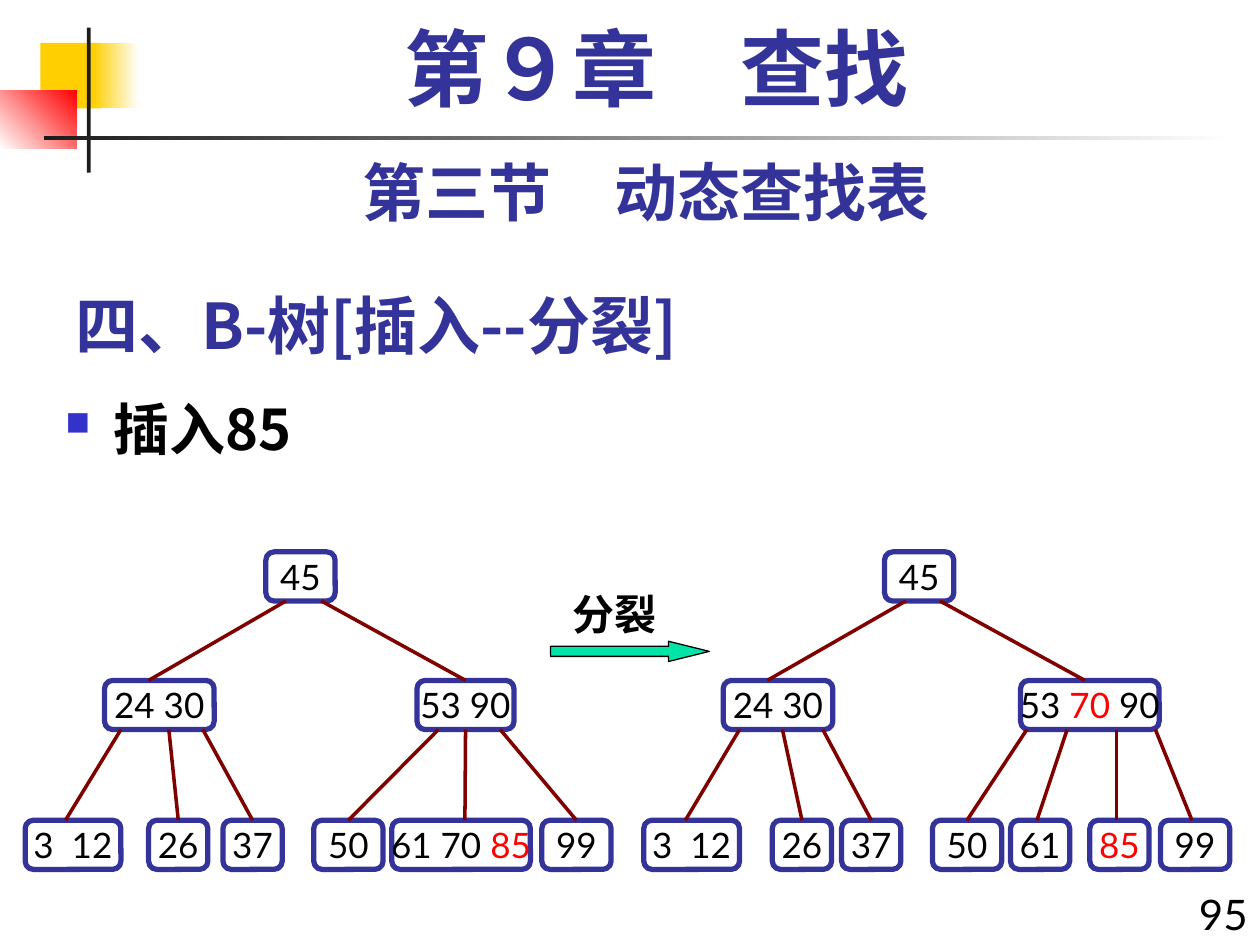
from dataclasses import dataclass
from lxml.etree import SubElement
from pptx import Presentation
from pptx.dml.color import RGBColor as RGB
from pptx.enum.shapes import MSO_CONNECTOR as Link, MSO_SHAPE as Shape
from pptx.enum.text import MSO_ANCHOR as Anchor, PP_ALIGN as Align
from pptx.oxml.ns import qn
from pptx.util import Inches, Pt


@dataclass(frozen=True)
class Theme:
    navy: str = "333399"
    black: str = "000000"
    white: str = "FFFFFF"
    red: str = "FF0000"
    gold: str = "FFCF01"
    ink: str = "1C1C1C"
    maroon: str = "800000"
    mint: str = "00E4A8"
    bullet: str = "3333CC"
    cjk: str = "Noto Sans CJK SC"
    sans: str = "Lato"
    serif: str = "Times New Roman"
    chapter: int = 48
    heading: int = 36
    body: int = 32
    label: int = 24
    key: int = 20


T = Theme()

DECORATION = [
    ((0.32, 0.34, 0.48, 0.52), [T.gold], 0),
    ((0.74, 0.34, 0.36, 0.52), [T.gold, T.white], 0),
    ((0, 0.72, 0.61, 0.46), [T.white, T.red], 45),
    ((0.69, 0.22, 0.03, 1.15), [T.ink], 0),
    ((0.35, 1.08, 9.45, 0.03), [T.ink, T.white], 0),
]

BOLD_NAVY = {"color": T.navy, "bold": True}
TEXTS = [
    ("四、B-树[插入--分裂]", (0.5, 2.17, 6.83, 0.75),
     {**BOLD_NAVY, "name": T.cjk, "size": T.heading},
     {"vertical_anchor": Anchor.BOTTOM}, {}),
    ("95", (9.33, 7, 0.67, 0.5),
     {"name": T.sans, "size": T.label, "color": T.black},
     {}, {"alignment": Align.RIGHT}),
    ("第三节\u3000动态查找表".replace("\u3000", "　"), (0.5, 1.17, 9.25, 0.7),
     {**BOLD_NAVY, "name": T.sans, "size": T.heading},
     {}, {"alignment": Align.CENTER}),
    ("第９章　查找", (0.67, 0.17, 9.08, 0.83),
     {**BOLD_NAVY, "name": T.serif, "size": T.chapter},
     {}, {"alignment": Align.CENTER, "line_spacing": 0.9}),
    ("分裂", (4.37, 4.62, 1.02, 0.5),
     {"name": T.sans, "size": T.label, "color": T.black, "bold": True},
     {}, {"alignment": Align.CENTER}),
]
INSERTION = ("插入85", (0.42, 3.08, 9.58, 4.42),
             {"name": T.cjk, "size": T.body, "color": T.black, "bold": True},
             {}, {})

LEVEL_TOPS = (4.38, 5.4, 6.51)
NODE_HEIGHT = 0.39
BEFORE_SPLIT = {
    "levels": [
        [("45", 2.11, 0.55)],
        [("24 30", 0.83, 0.87), ("53 90", 3.31, 0.77)],
        [("3  12", 0.2, 0.76), ("26", 1.18, 0.47), ("37", 1.77, 0.47),
         ("50", 2.49, 0.55), ("61 70 *85*", 3.11, 1.1), ("99", 4.3, 0.55)],
    ],
    "branches": [
        ("45", 2.27, "24 30", 1.18), ("45", 2.55, "53 90", 3.69),
        ("24 30", 0.96, "3  12", 0.52), ("24 30", 1.34, "26", 1.42),
        ("24 30", 1.61, "37", 2.01), ("53 90", 3.48, "50", 2.76),
        ("53 90", 3.69, "61 70 *85*", 3.69), ("53 90", 3.97, "99", 4.57),
    ],
}
AFTER_SPLIT = {
    "levels": [
        [("45", 7.02, 0.55)],
        [("24 30", 5.74, 0.87), ("53 *70* 90", 8.1, 1.1)],
        [("3  12", 5.11, 0.76), ("26", 6.13, 0.47), ("37", 6.68, 0.47),
         ("50", 7.4, 0.55), ("61", 8.02, 0.47), ("*85*", 8.65, 0.47),
         ("99", 9.21, 0.55)],
    ],
    "branches": [
        ("45", 7.19, "24 30", 6.09), ("45", 7.46, "53 *70* 90", 8.61),
        ("24 30", 5.87, "3  12", 5.44), ("24 30", 6.21, "26", 6.37),
        ("24 30", 6.53, "37", 6.92), ("53 *70* 90", 8.15, "50", 7.68),
        ("53 *70* 90", 8.47, "61", 8.23), ("53 *70* 90", 8.86, "*85*", 8.86),
        ("53 *70* 90", 9.17, "99", 9.46),
    ],
}


def apply(target, values):
    for attribute, value in values.items():
        setattr(target, attribute, value)


def add_run(paragraph, text, style):
    run = paragraph.add_run()
    run.text = text
    values = dict(style)
    run.font.color.rgb = RGB.from_string(values.pop("color"))
    apply(run.font, {**values, "size": Pt(values["size"])})
    SubElement(run.font._element, qn("a:ea"), typeface=T.cjk)


def add_text(slide, text, place, style, frame_values, paragraph_values):
    frame = slide.shapes.add_textbox(*map(Inches, place)).text_frame
    apply(frame, {"word_wrap": True, **frame_values})
    paragraph = frame.paragraphs[0]
    apply(paragraph, paragraph_values)
    add_run(paragraph, text, style)
    return paragraph


def add_bullet(paragraph):
    properties = paragraph._p.get_or_add_pPr()
    properties.set("marL", str(Inches(0.38)))
    properties.set("indent", str(-Inches(0.38)))
    color = SubElement(properties, qn("a:buClr"))
    SubElement(color, qn("a:srgbClr"), val=T.bullet)
    SubElement(properties, qn("a:buSzPct"), val="60000")
    SubElement(properties, qn("a:buChar"), char="■")


def add_shape(shapes, preset, place, line=None, width=0):
    shape = shapes.add_shape(preset, *map(Inches, place))
    shape.shadow.inherit = False
    if line:
        shape.line.color.rgb = RGB.from_string(line)
        shape.line.width = Pt(width)
    else:
        shape.line.fill.background()
    return shape


def paint(shape, colors, angle=0):
    if len(colors) == 1:
        shape.fill.solid()
        shape.fill.fore_color.rgb = RGB.from_string(colors[0])
        return
    shape.fill.gradient()
    shape.fill.gradient_angle = angle
    for stop, color, position in zip(shape.fill.gradient_stops, colors, (0, 1)):
        stop.color.rgb = RGB.from_string(color)
        stop.position = position


def add_node(shapes, keys, left, top, width):
    node = add_shape(shapes, Shape.ROUNDED_RECTANGLE,
                     (left, top, width, NODE_HEIGHT), T.navy, 3)
    node.fill.background()
    apply(node.text_frame, {"word_wrap": False, "vertical_anchor": Anchor.MIDDLE})
    paragraph = node.text_frame.paragraphs[0]
    paragraph.alignment = Align.CENTER
    for index, part in enumerate(keys.split("*")):
        if part:
            add_run(paragraph, part, {"name": T.sans, "size": T.key,
                                      "color": T.red if index % 2 else T.black})
    return node


def is_middle(node, x):
    return abs(node.left + node.width / 2 - Inches(x)) < Inches(0.02)


def add_tree(slide, tree):
    shapes = slide.shapes.add_group_shape().shapes
    nodes = {keys: add_node(shapes, keys, left, top, width)
             for top, level in zip(LEVEL_TOPS, tree["levels"])
             for keys, left, width in level}
    for parent_keys, start, child_keys, end in tree["branches"]:
        parent, child = nodes[parent_keys], nodes[child_keys]
        branch = shapes.add_connector(
            Link.STRAIGHT, Inches(start), parent.top + parent.height,
            Inches(end), child.top)
        branch.line.color.rgb = RGB.from_string(T.maroon)
        branch.line.width = Pt(2)
        SubElement(branch._element.spPr, qn("a:effectLst"))
        if is_middle(parent, start):
            branch.begin_connect(parent, 2)
        if is_middle(child, end):
            branch.end_connect(child, 0)


def main():
    deck = Presentation()
    apply(deck, {"slide_width": Inches(10), "slide_height": Inches(7.5)})
    slide = deck.slides.add_slide(deck.slide_layouts[6])
    for place, colors, angle in DECORATION:
        paint(add_shape(slide.shapes, Shape.RECTANGLE, place), colors, angle)
    for entry in TEXTS:
        add_text(slide, *entry)
    add_bullet(add_text(slide, *INSERTION))
    for tree in (BEFORE_SPLIT, AFTER_SPLIT):
        add_tree(slide, tree)
    split_arrow = add_shape(slide.shapes, Shape.RIGHT_ARROW,
                            (4.37, 5.09, 1.26, 0.16), T.black, 0.75)
    split_arrow.adjustments[1] = 2.02
    paint(split_arrow, [T.mint])
    deck.save("out.pptx")


if __name__ == "__main__":
    main()
